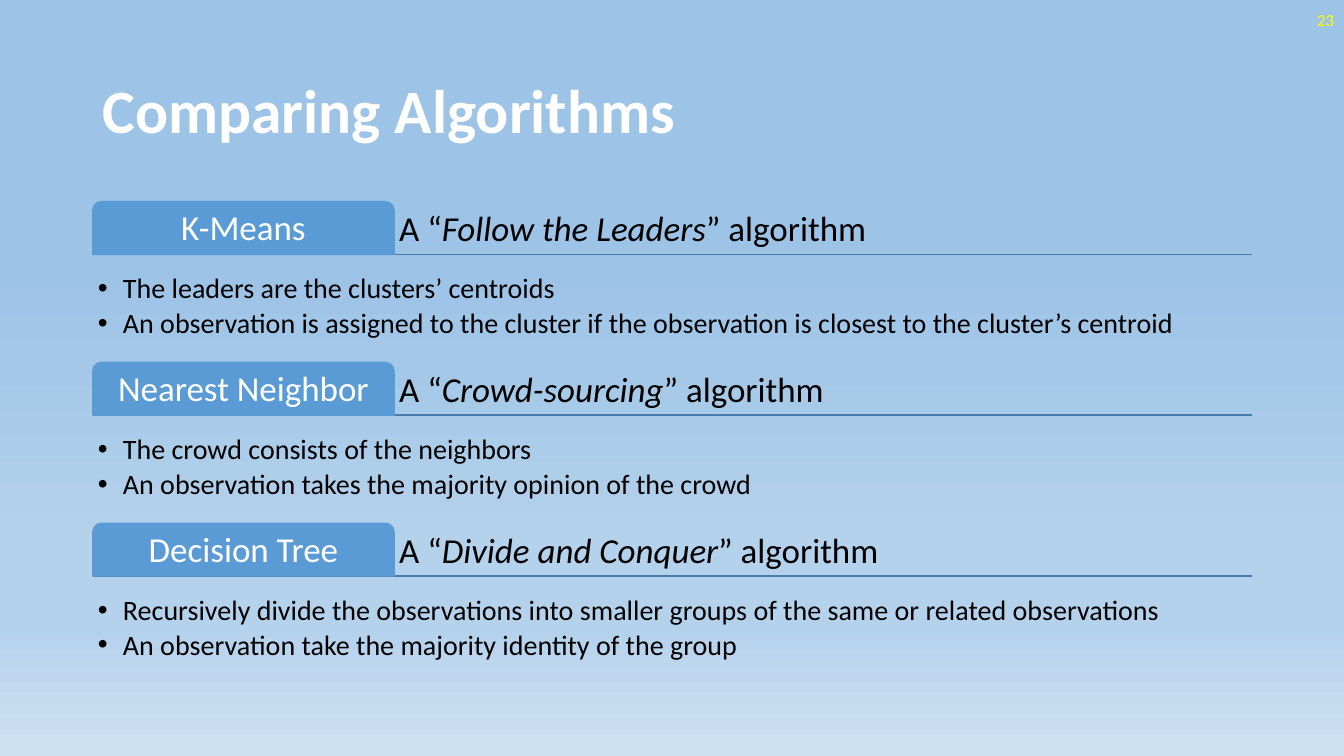
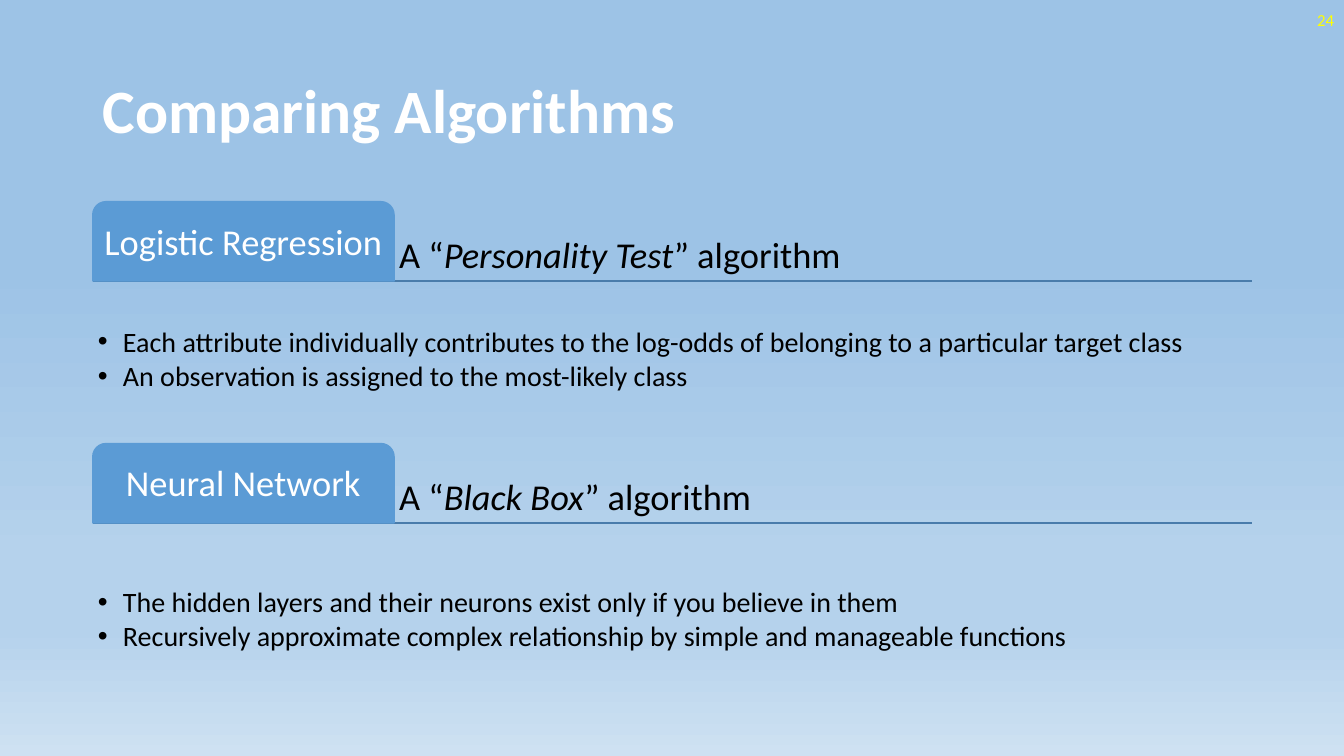
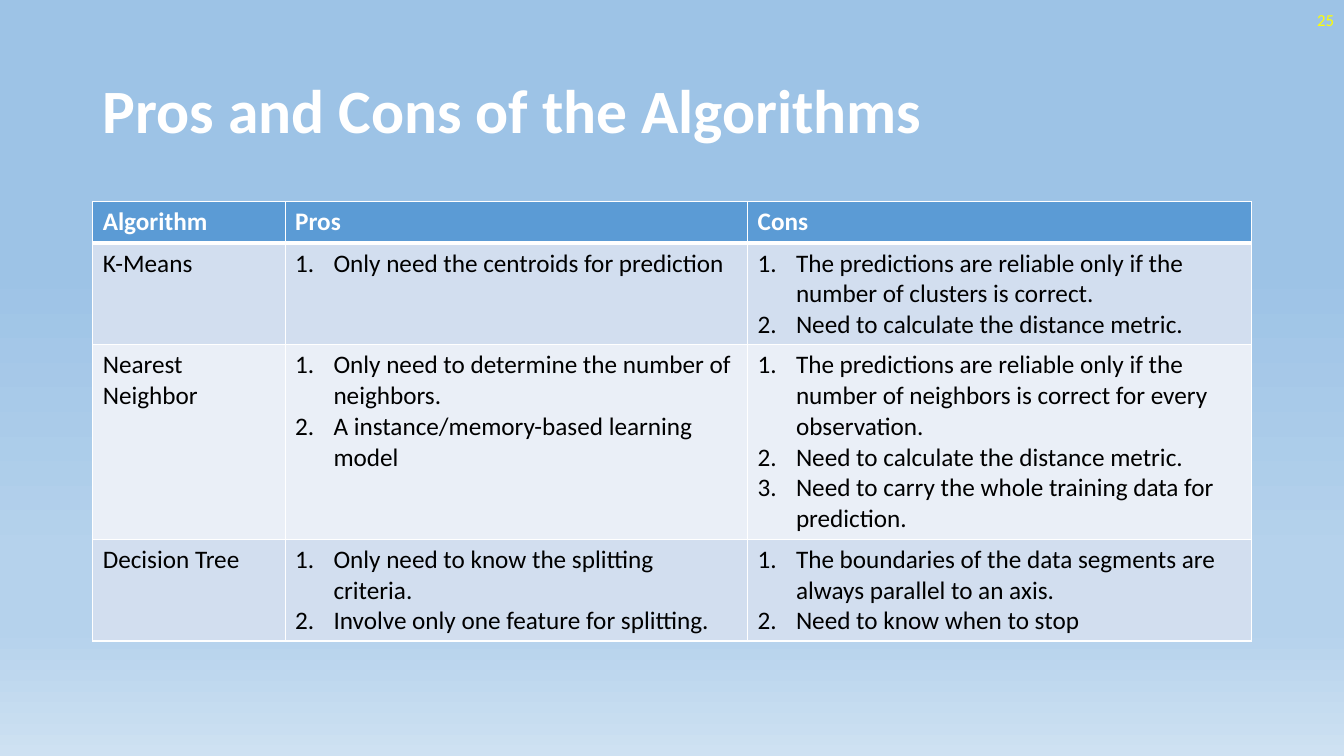
from dataclasses import dataclass
from typing import Any

import pptx
import pptx.dml.color
import pptx.enum.shapes
import pptx.enum.text
import pptx.oxml.ns
import pptx.util
from lxml import etree

COLORS = {
    "accent": "5B9BD5",
    "rule": "497CAB",
    "band_dark": "D2DEEF",
    "band_light": "EAEFF7",
    "white": "FFFFFF",
    "black": "000000",
    "number": "FFFF00",
}
BACKGROUND = [(35, "9DC3E6"), (74, "B5D2EC"), (83, "B5D2EC"), (100, "CEE1F2")]
FONT = "Calibri"
WIDTH, HEIGHT = pptx.util.Inches(13.33), pptx.util.Inches(7.5)
ALIGN = pptx.enum.text.PP_ALIGN
ANCHOR = pptx.enum.text.MSO_ANCHOR


@dataclass(frozen=True)
class Box:
    """Place and size in percent of the slide."""
    x: float
    y: float
    w: float
    h: float

    def emu(self) -> tuple[int, int, int, int]:
        return (round(WIDTH * self.x / 100), round(HEIGHT * self.y / 100),
                round(WIDTH * self.w / 100), round(HEIGHT * self.h / 100))


@dataclass(frozen=True)
class Style:
    size: float
    color: str = "black"
    bold: bool = False
    align: Any = ALIGN.LEFT
    line_spacing: float = 1.0
    space_after: float = 0


@dataclass(frozen=True)
class Panel:
    name: str
    nickname: str
    points: tuple[str, ...]
    drop: float = 0


@dataclass(frozen=True)
class Verdict:
    name: str
    pros: tuple[str, ...]
    cons: tuple[str, ...]
    height: float


TITLE_BOX = Box(6.9, 5.33, 86.25, 19.33)
NUMBER_BOX = Box(77.5, 0, 22.5, 5.33)
CONTENT = Box(6.9, 26.67, 86.25, 63.47)
TAB_SHARE = 0.26
GAP_SHARE = 0.05
COLUMN_SHARES = (0.166, 0.399, 0.435)
HEADER_HEIGHT = 0.41
FIRST_NUMBER = 23

TITLE = Style(44, "white", True, line_spacing=0.9)
NUMBER = Style(12, "number", align=ALIGN.RIGHT)
POINT = Style(20, line_spacing=0.9, space_after=3)
HEADER = Style(18, "white", True)
CELL = Style(18)

COMPARISONS = [
    (25, [
        Panel("K-Means", "Follow the Leaders", (
            "The leaders are the clusters’ centroids",
            "An observation is assigned to the cluster if the observation is closest to the cluster’s centroid")),
        Panel("Nearest Neighbor", "Crowd-sourcing", (
            "The crowd consists of the neighbors",
            "An observation takes the majority opinion of the crowd")),
        Panel("Decision Tree", "Divide and Conquer", (
            "Recursively divide the observations into smaller groups of the same or related observations",
            "An observation take the majority identity of the group")),
    ]),
    (26, [
        Panel("Logistic Regression", "Personality Test", (
            "Each attribute individually contributes to the log-odds of belonging to a particular target class",
            "An observation is assigned to the most-likely class")),
        Panel("Neural Network", "Black Box", (
            "The hidden layers and their neurons exist only if you believe in them",
            "Recursively approximate complex relationship by simple and manageable functions"), drop=2.4),
    ]),
]
VERDICTS = [
    Verdict("K-Means", ("Only need the centroids for prediction",), (
        "The predictions are reliable only if the number of clusters is correct.",
        "Need to calculate the distance metric."), 1.01),
    Verdict("Nearest Neighbor", (
        "Only need to determine the number of neighbors.",
        "A instance/memory-based learning model"), (
        "The predictions are reliable only if the number of neighbors is correct for every observation.",
        "Need to calculate the distance metric.",
        "Need to carry the whole training data for prediction."), 1.93),
    Verdict("Decision Tree", (
        "Only need to know the splitting criteria.",
        "Involve only one feature for splitting."), (
        "The boundaries of the data segments are always parallel to an axis.",
        "Need to know when to stop"), 1.01),
]


def rgb(name: str) -> Any:
    return pptx.dml.color.RGBColor.from_string(COLORS[name])


def set_all(target: Any, values: dict[str, Any]) -> None:
    for key, value in values.items():
        setattr(target, key, value)


def add_xml(parent: Any, tag: str, **attrs: str) -> Any:
    return etree.SubElement(parent, pptx.oxml.ns.qn(tag), attrs)


def paint(fill: Any, color: str) -> None:
    fill.solid()
    fill.fore_color.rgb = rgb(color)


def add_marker(p: Any, marker: str, indent: float) -> None:
    pPr = p._p.get_or_add_pPr()
    pPr.set("marL", str(pptx.util.Inches(indent)))
    pPr.set("indent", str(pptx.util.Inches(-indent)))
    if marker == "number":
        add_xml(pPr, "a:buFont", typeface="+mj-lt")
        add_xml(pPr, "a:buAutoNum", type="arabicPeriod")
    else:
        add_xml(pPr, "a:buFont", typeface="Arial")
        add_xml(pPr, "a:buChar", char=marker)


def write(tf: Any, paragraphs: list[list[tuple[str, bool]]], style: Style,
          marker: str = "", indent: float = 0) -> None:
    for i, runs in enumerate(paragraphs):
        p = tf.add_paragraph() if i else tf.paragraphs[0]
        if marker:
            add_marker(p, marker, indent)
        set_all(p, {"alignment": style.align, "line_spacing": style.line_spacing,
                    "space_after": pptx.util.Pt(style.space_after)})
        for text, italic in runs:
            r = p.add_run()
            r.text = text
            set_all(r.font, {"name": FONT, "size": pptx.util.Pt(style.size),
                             "bold": style.bold, "italic": italic})
            r.font.color.rgb = rgb(style.color)


def plain(*texts: str) -> list[list[tuple[str, bool]]]:
    return [[(text, False)] for text in texts]


def set_frame(tf: Any, anchor: Any, inset: float | None = None) -> None:
    set_all(tf, {"word_wrap": True, "vertical_anchor": anchor})
    if inset is not None:
        margin = pptx.util.Inches(inset)
        set_all(tf, {f"margin_{side}": margin for side in ("left", "top", "right", "bottom")})


def add_text(s: Any, box: Box, anchor: Any = ANCHOR.MIDDLE, inset: float | None = None) -> Any:
    tf = s.shapes.add_textbox(*box.emu()).text_frame
    set_frame(tf, anchor, inset)
    return tf


def add_rule(s: Any, y: float) -> None:
    x, top, w, _ = Box(CONTENT.x, y, CONTENT.w, 0).emu()
    rule = s.shapes.add_connector(pptx.enum.shapes.MSO_CONNECTOR.STRAIGHT, x, top, x + w, top)
    rule.line.color.rgb = rgb("rule")
    rule.line.width = pptx.util.Pt(1)
    add_xml(rule._element.spPr, "a:effectLst")


def add_tab(s: Any, box: Box, name: str, size: float) -> None:
    sp = s.shapes.add_shape(pptx.enum.shapes.MSO_SHAPE.ROUND_2_SAME_RECTANGLE, *box.emu())
    sp.shadow.inherit = False
    paint(sp.fill, "accent")
    sp.line.color.rgb = rgb("accent")
    sp.line.width = pptx.util.Pt(1)
    set_frame(sp.text_frame, ANCHOR.MIDDLE, 0.05)
    write(sp.text_frame, plain(name), Style(size, "white", align=ALIGN.CENTER, line_spacing=0.9))


def add_panels(s: Any, panels: list[Panel], size: float) -> None:
    n = len(panels)
    head = CONTENT.h / (3 * n + GAP_SHARE * (n - 1))
    tab_w = CONTENT.w * TAB_SHARE
    for i, panel in enumerate(panels):
        top = CONTENT.y + i * head * (3 + GAP_SHARE)
        base = top + head
        add_rule(s, base)
        tagline = add_text(s, Box(CONTENT.x + tab_w, top, CONTENT.w - tab_w, head), ANCHOR.BOTTOM, 0.05)
        write(tagline, [[("A “", False), (panel.nickname, True), ("” algorithm", False)]],
              Style(size, line_spacing=0.9))
        add_tab(s, Box(CONTENT.x, top, tab_w, head), panel.name, size)
        body = add_text(s, Box(CONTENT.x, base + panel.drop, CONTENT.w, 2 * head), inset=0.05)
        write(body, plain(*panel.points), POINT, "•", 0.25)


def add_borders(cell: Any, top: float, bottom: float) -> None:
    tcPr = cell._tc.get_or_add_tcPr()
    for tag, width in (("a:lnL", 1), ("a:lnR", 1), ("a:lnT", top), ("a:lnB", bottom)):
        ln = add_xml(tcPr, tag, w=str(pptx.util.Pt(width)))
        add_xml(add_xml(ln, "a:solidFill"), "a:srgbClr", val=COLORS["white"])


def add_verdicts(s: Any, verdicts: list[Verdict]) -> None:
    rows = [(("Algorithm",), ("Pros",), ("Cons",))] + [((v.name,), v.pros, v.cons) for v in verdicts]
    heights = [HEADER_HEIGHT] + [v.height for v in verdicts]
    x, y, w, _ = CONTENT.emu()
    table = s.shapes.add_table(len(rows), len(COLUMN_SHARES), x, y, w,
                               pptx.util.Inches(sum(heights))).table
    table.horz_banding = False
    for column, share in zip(table.columns, COLUMN_SHARES):
        column.width = round(w * share)
    for i, (row, height) in enumerate(zip(rows, heights)):
        table.rows[i].height = pptx.util.Inches(height)
        fill = "accent" if i == 0 else "band_dark" if i % 2 else "band_light"
        for j, texts in enumerate(row):
            cell = table.cell(i, j)
            add_borders(cell, 3 if i == 1 else 1, 3 if i == 0 else 1)
            paint(cell.fill, fill)
            write(cell.text_frame, plain(*texts), CELL if i else HEADER,
                  "number" if i and j else "", 0.38)


def set_background(prs: Any) -> None:
    master = prs.slide_master
    fill = master.background.fill
    fill.gradient()
    fill.gradient_angle = 270
    stops = master.element.find(".//" + pptx.oxml.ns.qn("a:gsLst"))
    for stop in list(stops):
        stops.remove(stop)
    for position, color in BACKGROUND:
        add_xml(add_xml(stops, "a:gs", pos=str(position * 1000)), "a:srgbClr", val=color)


def add_slide(prs: Any, title: str) -> Any:
    s = prs.slides.add_slide(prs.slide_layouts[6])
    number = FIRST_NUMBER + len(prs.slides) - 1
    write(add_text(s, TITLE_BOX), plain(title), TITLE)
    write(add_text(s, NUMBER_BOX), plain(str(number)), NUMBER)
    return s


def main() -> None:
    prs = pptx.Presentation()
    set_all(prs, {"slide_width": WIDTH, "slide_height": HEIGHT})
    set_background(prs)
    for size, panels in COMPARISONS:
        add_panels(add_slide(prs, "Comparing Algorithms"), panels, size)
    add_verdicts(add_slide(prs, "Pros and Cons of the Algorithms"), VERDICTS)
    prs.save("out.pptx")


if __name__ == "__main__":
    main()
